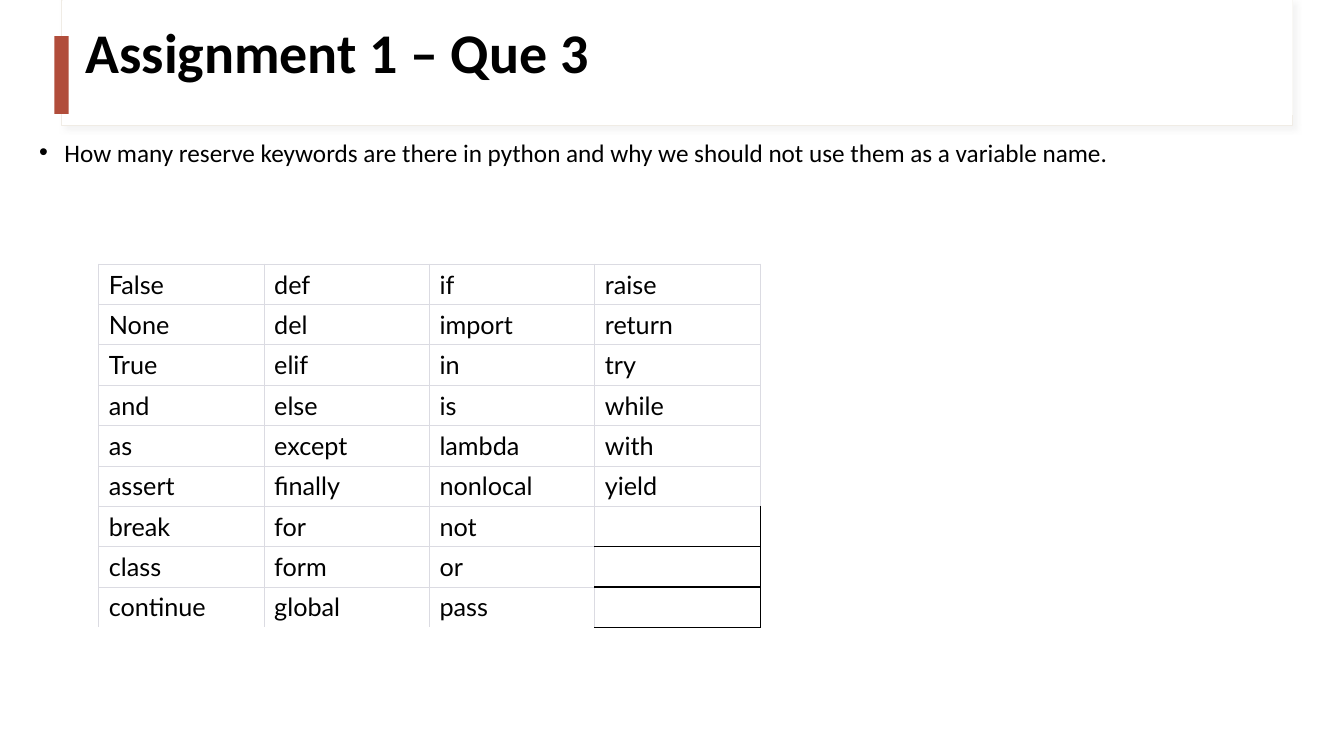
"""Build the slide on reserved keywords in Python."""
from lxml import etree
from pptx import Presentation
from pptx.dml.color import RGBColor
from pptx.enum.shapes import MSO_SHAPE
from pptx.enum.text import MSO_ANCHOR
from pptx.oxml import parse_xml
from pptx.oxml.ns import nsdecls, qn
from pptx.util import Inches, Pt

TITLE = "Assignment 1 – Que 3"
TASK = ("How many reserve keywords are there in python and why we should "
        "not use them as a variable name.")
WORDS = [
    ["False", "None", "True", "and", "as", "assert", "break", "class", "continue"],
    ["def", "del", "elif", "else", "except", "finally", "for", "form", "global"],
    ["if", "import", "in", "is", "lambda", "nonlocal", "not", "or", "pass"],
    ["raise", "return", "try", "while", "with", "yield"],
]

BLACK = RGBColor(0, 0, 0)
WHITE = RGBColor(0xFF, 0xFF, 0xFF)
RUST = RGBColor(0xB1, 0x4D, 0x3B)
CREAM = RGBColor(0xF0, 0xEC, 0xE5)
GREY = RGBColor(0xDB, 0xDB, 0xE2)
SHADE = RGBColor(0xD9, 0xD9, 0xD9)
RECT = MSO_SHAPE.RECTANGLE
MIDDLE = MSO_ANCHOR.MIDDLE
TOP = MSO_ANCHOR.TOP

COL, ROW = 1.64, 0.4
COLS, ROWS = len(WORDS), len(WORDS[0])


def inches(*box):
    return [Inches(n) for n in box]


def add_rect(slide, box, fill, line=None):
    rect = slide.shapes.add_shape(RECT, *inches(*box))
    rect.shadow.inherit = False
    rect.fill.solid()
    rect.fill.fore_color.rgb = fill
    if line is None:
        rect.line.fill.background()
    else:
        rect.line.color.rgb = line
        rect.line.width = Pt(0.75)
    return rect


def add_shade(rect):
    effect = rect.element.spPr.find(qn("a:effectLst"))
    effect.append(parse_xml(
        f'<a:outerShdw {nsdecls("a")} blurRad="{Pt(4)}" dist="{Pt(3)}" '
        f'dir="2700000"><a:srgbClr val="{SHADE}"><a:alpha val="30000"/>'
        '</a:srgbClr></a:outerShdw>'))


def style(para, size, face, bold=False):
    for run in para.runs:
        font = run.font
        font.size, font.name, font.bold = Pt(size), face, bold
        font.color.rgb = BLACK


def add_text(slide, box, text, size, anchor, bold=False):
    frame = slide.shapes.add_textbox(*inches(*box)).text_frame
    frame.word_wrap = True
    frame.vertical_anchor = anchor
    frame.text = text
    para = frame.paragraphs[0]
    style(para, size, "Calibri", bold)
    return para


def add_bullet(para):
    props = para._p.get_or_add_pPr()
    props.set("marL", str(Inches(0.25)))
    props.set("indent", str(-Inches(0.25)))
    etree.SubElement(props, qn("a:buFont")).set("typeface", "Arial")
    etree.SubElement(props, qn("a:buChar")).set("char", "•")


def set_edge(cell, side, color, width):
    props = cell._tc.get_or_add_tcPr()
    edge = etree.SubElement(props, qn(f"a:ln{side}"), w=str(Pt(width)))
    if color is None:
        etree.SubElement(edge, qn("a:noFill"))
    else:
        fill = etree.SubElement(edge, qn("a:solidFill"))
        etree.SubElement(fill, qn("a:srgbClr"), val=str(color))


def pick_edge(col, row, side):
    used = len(WORDS[col])
    if row >= used and side != "L" and (row, side) != (used, "T"):
        return BLACK, 1
    if row == ROWS - 1 and side == "B":
        return None, 0.6
    return GREY, 0.6


def add_words(slide):
    box = inches(0.98, 2.62, COL * COLS, ROW * ROWS)
    table = slide.shapes.add_table(ROWS, COLS, *box).table
    table.first_row = table.horz_banding = False
    for col, words in enumerate(WORDS):
        table.columns[col].width = Inches(COL)
        for row in range(ROWS):
            table.rows[row].height = Inches(ROW)
            cell = table.cell(row, col)
            cell.vertical_anchor = MIDDLE
            if row < len(words):
                cell.text = words[row]
                style(cell.text_frame.paragraphs[0], 18, "Lato")
            for side in "LRTB":
                set_edge(cell, side, *pick_edge(col, row, side))
            cell.fill.background()


def main():
    deck = Presentation()
    deck.slide_width, deck.slide_height = inches(13.33, 7.5)
    slide = deck.slides.add_slide(deck.slide_layouts[6])
    add_shade(add_rect(slide, (0.61, 0, 12.21, 1.25), WHITE, CREAM))
    add_rect(slide, (0.62, 0, 12.2, 1.14), WHITE)
    add_rect(slide, (0.54, 0.36, 0.14, 0.77), RUST)
    head = add_text(slide, (0.75, 0.1, 11.12, 0.89), TITLE, 40, MIDDLE, True)
    head.line_spacing = 0.9
    task = add_text(slide, (0.29, 1.28, 12.92, 6.11), TASK, 18, TOP)
    task.line_spacing = 1.1
    task.space_before = Pt(10)
    add_bullet(task)
    add_words(slide)
    deck.save("out.pptx")


if __name__ == "__main__":
    main()
